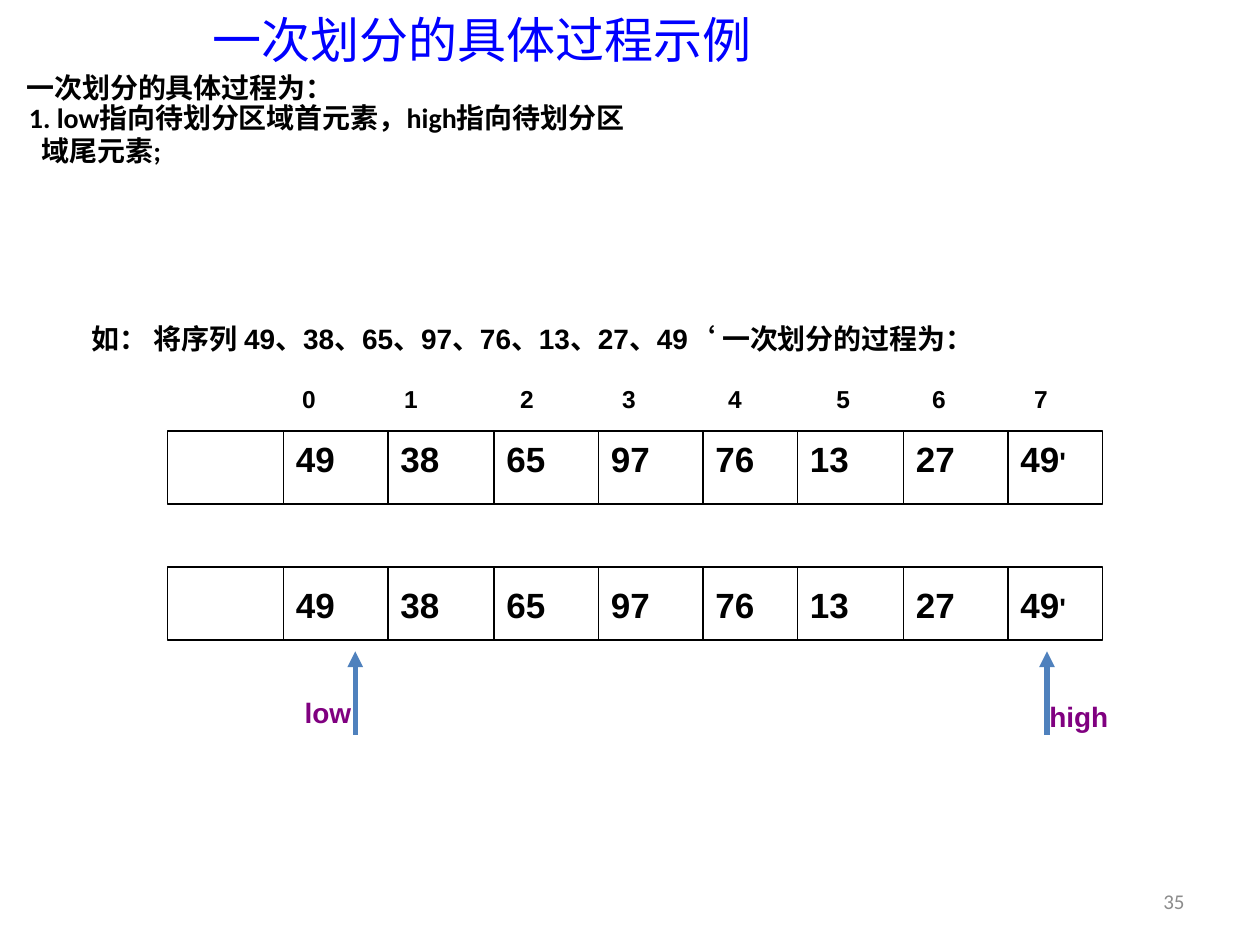
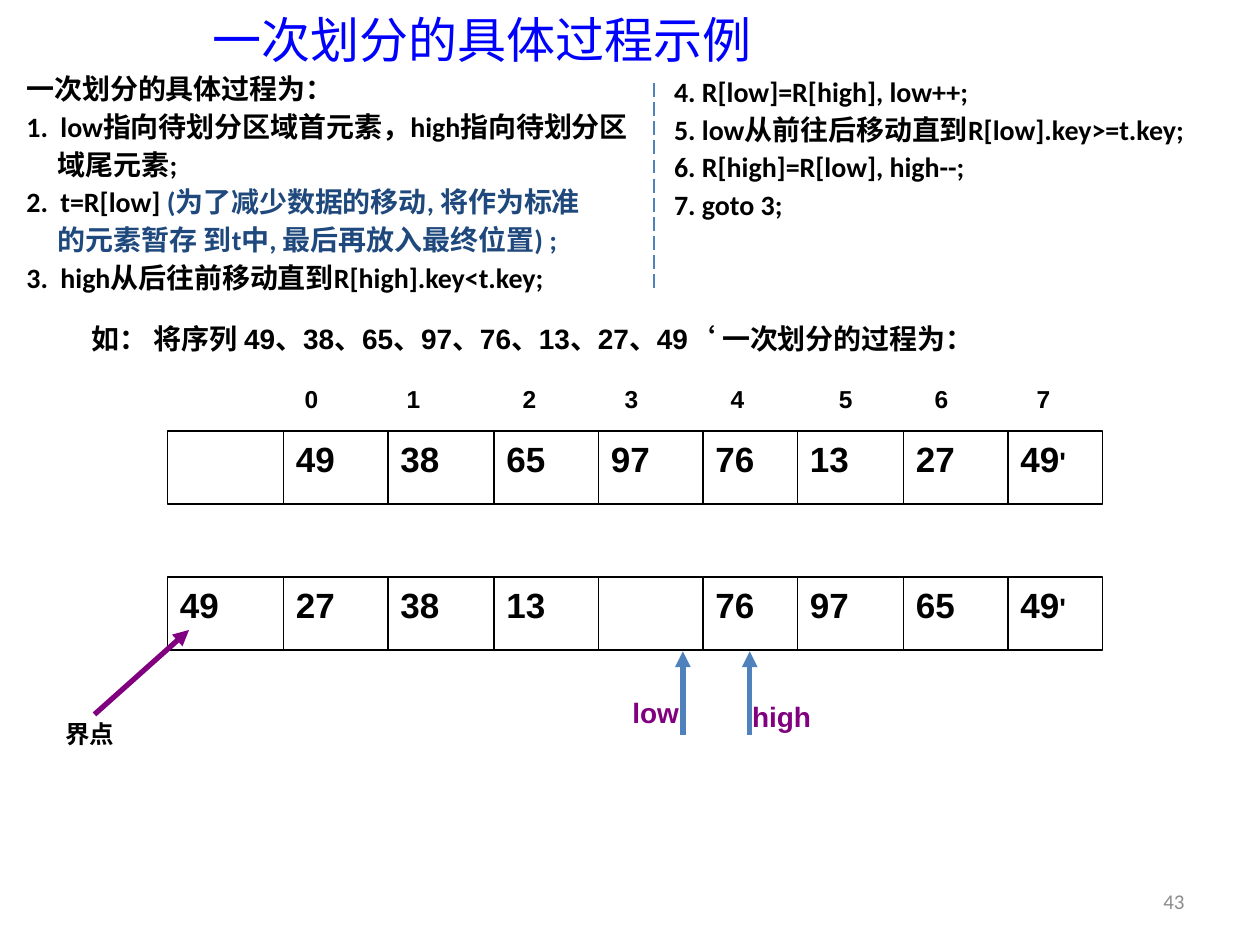
from dataclasses import dataclass
from typing import NamedTuple

from lxml import etree
from pptx import Presentation
from pptx.dml.color import RGBColor
from pptx.enum.dml import MSO_LINE
from pptx.enum.shapes import MSO_CONNECTOR, MSO_SHAPE
from pptx.enum.text import MSO_ANCHOR, MSO_AUTO_SIZE, PP_ALIGN
from pptx.oxml.ns import qn
from pptx.util import Inches, Pt

LEFT, RIGHT = PP_ALIGN.LEFT, PP_ALIGN.RIGHT
TOP, MIDDLE = MSO_ANCHOR.TOP, MSO_ANCHOR.MIDDLE
NO_AUTOFIT = MSO_AUTO_SIZE.NONE
STRAIGHT, RECTANGLE = MSO_CONNECTOR.STRAIGHT, MSO_SHAPE.RECTANGLE
LONG_DASH = MSO_LINE.LONG_DASH

BLACK, TITLE_BLUE, NOTE_BLUE = "000000", "0000FF", "1F497D"
ARROW_BLUE, PURPLE, GRAY = "4F81BD", "800080", "8C8C8C"
LATIN, LIST_FONT, CHINESE = "Arial", "Calibri", "Noto Sans CJK SC"

TWO_CONTENT_LAYOUT = 3
TITLE = "一次划分的具体过程示例"
HEADING = "一次划分的具体过程为："
SEQUENCE = "如： 将序列 49、38、65、97、76、13、27、49‘ 一次划分的过程为："

CELL_EDGES = [1.33, 2.25, 3.08, 3.92, 4.75, 5.58, 6.33, 7.17, 8, 8.75]
CELL_HEIGHT = 0.58
INDEX_OFFSETS = [0, 0.81, 1.73, 2.54, 3.38, 4.24, 5, 5.81]
START_VALUES = ["", "49", "38", "65", "97", "76", "13", "27", "49'"]


class Run(NamedTuple):
    text: str
    size: float | None = None
    color: str | None = None


class Paragraph(NamedTuple):
    runs: list[Run]
    margin: float = 0
    hanging: float = 0


class Box(NamedTuple):
    left: float
    top: float
    width: float
    height: float


@dataclass
class Array:
    values: list[str]
    top: float
    text_offset: float = 0


@dataclass
class PartitionStep:
    number: str
    left_box: Box
    left_list: list[Paragraph]
    right_box: Box
    right_list: list[Paragraph]
    index_left: float
    array: Array
    low: float
    high: float
    list_gap: float
    has_divider: bool = False
    has_pivot: bool = False


def line_of(text: str, margin: float = 0, hanging: float = 0) -> Paragraph:
    return Paragraph([Run(text)], margin, hanging)


def numbered(text: str) -> Paragraph:
    return line_of(text, 0.27, 0.27)


STEPS = [
    PartitionStep(
        number="35",
        left_box=Box(0.11, 0.52, 5.25, 0.24),
        left_list=[line_of(HEADING)],
        right_box=Box(0.13, 0.76, 6.06, 0.73),
        right_list=[
            line_of("1. low指向待划分区域首元素，high指向待划分区"),
            line_of("域尾元素;", 0.1),
        ],
        index_left=2.3,
        array=Array(START_VALUES, 4.5, 0.08),
        low=2.82,
        high=8.31,
        list_gap=0,
    ),
    PartitionStep(
        number="43",
        left_box=Box(0.11, 0.53, 5.25, 1.92),
        left_list=[
            line_of(HEADING),
            numbered("1.\tlow指向待划分区域首元素，high指向待划分区"),
            line_of("域尾元素;", 0.25),
            Paragraph([Run("2.\tt=R[low] "),
                       Run("(为了减少数据的移动, 将作为标准", color=NOTE_BLUE)], 0.27, 0.27),
            Paragraph([Run("的元素暂存 到t中, 最后再放入最终位置) ;", color=NOTE_BLUE)], 0.25),
            numbered("3.\thigh从后往前移动直到R[high].key<t.key;"),
        ],
        right_box=Box(5.25, 0.55, 4.67, 2),
        right_list=[
            line_of("4. R[low]=R[high], low++;"),
            line_of("5. low从前往后移动直到R[low].key>=t.key;"),
            line_of("6. R[high]=R[low], high--;"),
            line_of("7. goto 3;"),
        ],
        index_left=2.32,
        array=Array(["49", "27", "38", "13", "", "76", "97", "65", "49'"], 4.58),
        low=5.42,
        high=5.95,
        list_gap=3,
        has_divider=True,
        has_pivot=True,
    ),
]


def rgb(color: str) -> RGBColor:
    return RGBColor.from_string(color)


def place(shape, box: Box) -> None:
    shape.left, shape.top, shape.width, shape.height = map(Inches, box)


def write_text(shape, paragraphs: list[Paragraph], *, size: float, font: str = LATIN,
               color: str = BLACK, bold: bool = True, align=LEFT, anchor=TOP,
               line_height: float | None = None, gap: float = 0) -> None:
    """Fill a shape with formatted paragraphs; gap is the space between them in points."""
    frame = shape.text_frame
    frame.word_wrap = True
    frame.auto_size = NO_AUTOFIT
    frame.vertical_anchor = anchor
    for position, content in enumerate(paragraphs):
        paragraph = frame.add_paragraph() if position else frame.paragraphs[0]
        paragraph.alignment = align
        paragraph.space_before = Pt(gap if position else 0)
        if line_height:
            paragraph.line_spacing = Pt(line_height)
        properties = paragraph._p.get_or_add_pPr()
        properties.set("marL", str(Inches(content.margin)))
        properties.set("indent", str(-Inches(content.hanging)))
        etree.SubElement(properties, qn("a:buNone"))
        for part in content.runs:
            run = paragraph.add_run()
            run.text = part.text
            run.font.name = font
            run.font.size = Pt(part.size or size)
            run.font.bold = bold
            run.font.color.rgb = rgb(part.color or color)
            east_asian = etree.Element(qn("a:ea"), typeface=CHINESE)
            run.font._rPr.find(qn("a:latin")).addnext(east_asian)


def add_text(slide, box: Box, text: str | list[Run], **text_format) -> None:
    shape = slide.shapes.add_textbox(*map(Inches, box))
    runs = [Run(text)] if isinstance(text, str) else text
    write_text(shape, [Paragraph(runs)], **text_format)


def add_line(slide, start: tuple[float, float], end: tuple[float, float], *,
             color: str = BLACK, width: float = 0.75, arrow: bool = False, dash=None) -> None:
    line = slide.shapes.add_connector(STRAIGHT, *map(Inches, (*start, *end)))
    line.line.color.rgb = rgb(color)
    line.line.width = Pt(width)
    if dash:
        line.line.dash_style = dash
    if arrow:
        etree.SubElement(line.line._get_or_add_ln(), qn("a:tailEnd"), type="triangle")
    etree.SubElement(line._element.spPr, qn("a:effectLst"))


def draw_array(slide, array: Array) -> None:
    left, right = CELL_EDGES[0], CELL_EDGES[-1]
    bottom = array.top + CELL_HEIGHT
    frame = slide.shapes.add_shape(
        RECTANGLE, *map(Inches, (left, array.top, right - left, CELL_HEIGHT)))
    frame.shadow.inherit = False
    frame.fill.background()
    frame.line.color.rgb = rgb(BLACK)
    frame.line.width = Pt(0.75)
    for edge in CELL_EDGES[1:-1]:
        add_line(slide, (edge, array.top), (edge, bottom))
    for edge, value in zip(CELL_EDGES, array.values):
        if value:
            runs = [Run(value.rstrip("'"))]
            if value.endswith("'"):
                runs.append(Run("'", size=16))
            add_text(slide, Box(edge, array.top + array.text_offset, 0.67, 0.43), runs, size=20)


def draw_indexes(slide, left: float) -> None:
    for index, offset in enumerate(INDEX_OFFSETS):
        add_text(slide, Box(left + offset, 3, 0.4, 0.33), str(index), size=14)


def draw_pointer(slide, name: str, x: float, label_left: float, label_top: float) -> None:
    add_line(slide, (x, 5.83), (x, 5.17), color=ARROW_BLUE, width=3, arrow=True)
    add_text(slide, Box(label_left, label_top, 0.92, 0.37), name, size=16, color=PURPLE)


def draw_pivot(slide) -> None:
    add_text(slide, Box(0.42, 5.67, 0.83, 0.33), "界点", size=14, line_height=16)
    add_line(slide, (0.75, 5.67), (1.5, 5), color=PURPLE, width=3, arrow=True)


def build_slide(presentation, step: PartitionStep) -> None:
    slide = presentation.slides.add_slide(presentation.slide_layouts[TWO_CONTENT_LAYOUT])
    title, left_body, right_body = list(slide.placeholders)[:3]

    place(title, Box(1.59, 0.17, 7.55, 0.27))
    write_text(title, [line_of(TITLE)], size=28, color=TITLE_BLUE, bold=False, anchor=MIDDLE)
    for body, box, paragraphs in ((left_body, step.left_box, step.left_list),
                                  (right_body, step.right_box, step.right_list)):
        place(body, box)
        write_text(body, paragraphs, size=16, font=LIST_FONT, line_height=18.5,
                   gap=step.list_gap)

    add_text(slide, Box(0.63, 2.54, 9, 0.34), SEQUENCE, size=16, line_height=16.5)
    draw_indexes(slide, step.index_left)
    draw_array(slide, Array(START_VALUES, 3.42))
    draw_array(slide, step.array)
    draw_pointer(slide, "low", step.low, step.low - 0.5, 5.47)
    draw_pointer(slide, "high", step.high, step.high - 0.08, 5.5)
    if step.has_divider:
        add_line(slide, (5.19, 0.66), (5.19, 2.32), color=ARROW_BLUE, width=1, dash=LONG_DASH)
    if step.has_pivot:
        draw_pivot(slide)
    add_text(slide, Box(7.17, 6.95, 2.33, 0.4), step.number, size=12, font=LIST_FONT,
             color=GRAY, bold=False, align=RIGHT, anchor=MIDDLE)


def main() -> None:
    presentation = Presentation()
    presentation.slide_width = Inches(10)
    presentation.slide_height = Inches(7.5)
    for step in STEPS:
        build_slide(presentation, step)
    presentation.save("out.pptx")


if __name__ == "__main__":
    main()
